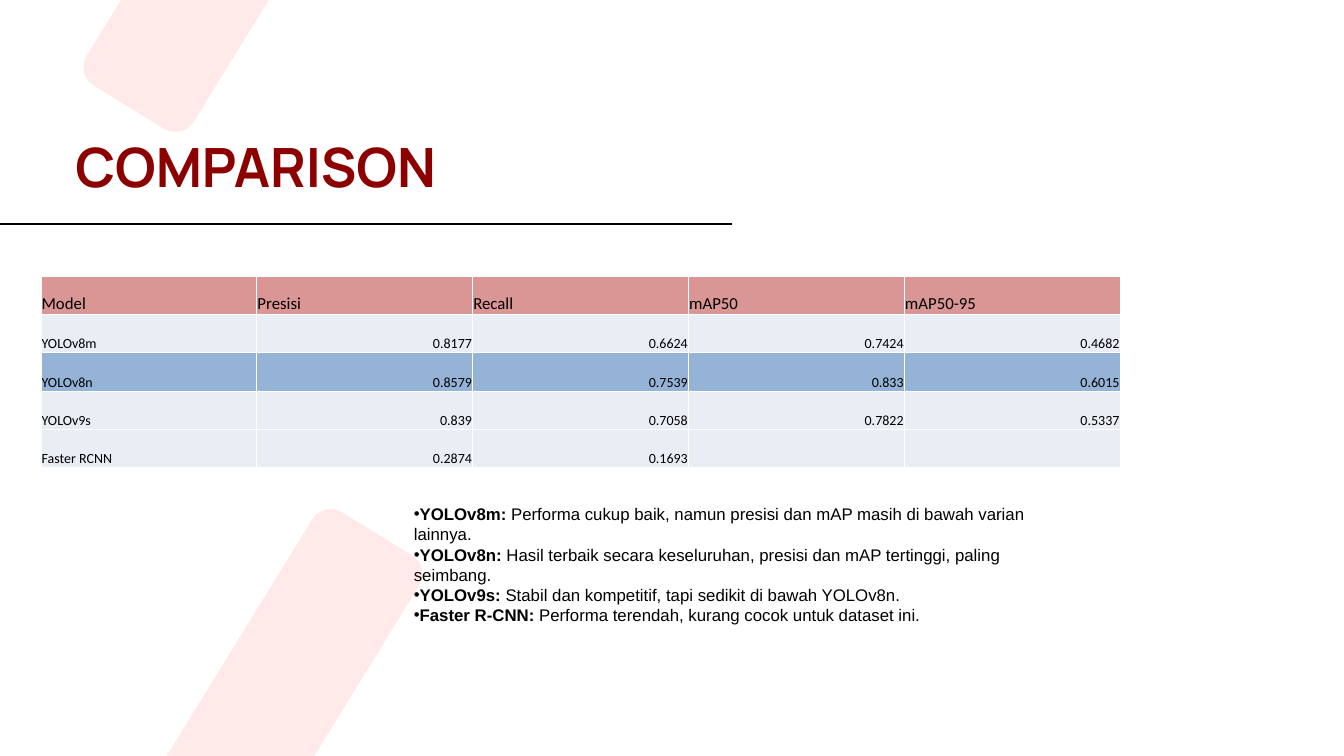
from lxml import etree
from pptx import Presentation
from pptx.dml.color import RGBColor
from pptx.enum import shapes, text
from pptx.oxml.ns import qn
from pptx.util import Inches, Pt

COLORS = {
    "title": "8D0000",
    "band": "FFE9E9",
    "ink": "000000",
    "header": "D99694",
    "row": "E9EDF4",
    "best": "95B3D7",
    "border": "FFFFFF",
}

TITLE = "COMPARISON"
HEADER = ["Model", "Presisi", "Recall", "mAP50", "mAP50-95"]
RESULTS = [
    ["YOLOv8m", "0.8177", "0.6624", "0.7424", "0.4682"],
    ["YOLOv8n", "0.8579", "0.7539", "0.833", "0.6015"],
    ["YOLOv9s", "0.839", "0.7058", "0.7822", "0.5337"],
    ["Faster RCNN", "0.2874", "0.1693", "", ""],
]
BEST_MODEL = "YOLOv8n"
REMARKS = [
    ("YOLOv8m:", " Performa cukup baik, namun presisi dan mAP masih di bawah varian lainnya."),
    ("YOLOv8n:", " Hasil terbaik secara keseluruhan, presisi dan mAP tertinggi, paling seimbang."),
    ("YOLOv9s:", " Stabil dan kompetitif, tapi sedikit di bawah YOLOv8n."),
    ("Faster R-CNN:", " Performa terendah, kurang cocok untuk dataset ini."),
]
BAND_CORNERS = [(1.39, 9.37), (0.6, -1.7)]


def rgb(name):
    return RGBColor.from_string(COLORS[name])


def style(font, name, size, color, bold=False):
    font.name, font.size, font.bold = name, Pt(size), bold
    font.color.rgb = rgb(color)


def add_textbox(slide, left, top, width, height):
    tf = slide.shapes.add_textbox(*map(Inches, (left, top, width, height))).text_frame
    tf.word_wrap = True
    return tf


def add_band(slide, left, top):
    sp = slide.shapes.add_shape(shapes.MSO_SHAPE.ROUNDED_RECTANGLE,
                                Inches(left), Inches(top), Inches(5.54), Inches(1.87))
    sp.adjustments[0] = 0.17
    sp.rotation = 301.6
    sp.shadow.inherit = False
    sp.fill.solid()
    sp.fill.fore_color.rgb = rgb("band")
    sp.line.fill.background()


def add_title(slide):
    tf = add_textbox(slide, 1.12, 2.14, 9.91, 0.91)
    tf.margin_left = tf.margin_top = tf.margin_right = tf.margin_bottom = 0
    p = tf.paragraphs[0]
    p.text = TITLE
    p.line_spacing = Pt(58)
    style(p.runs[0].font, "Manrope", 58, "title", bold=True)


def add_rule(slide):
    line = slide.shapes.add_connector(shapes.MSO_CONNECTOR.STRAIGHT, Inches(-0.69),
                                      Inches(3.34), Inches(10.9), Inches(3.34))
    line.line.color.rgb = rgb("ink")
    line.line.width = Pt(2.25)
    etree.SubElement(line._element.spPr, qn("a:effectLst"))


def set_borders(cell):
    tcPr = cell._tc.get_or_add_tcPr()
    for i, side in enumerate(("lnL", "lnR", "lnT", "lnB")):
        ln = etree.Element(qn(f"a:{side}"), w=str(Pt(1)))
        fill = etree.SubElement(ln, qn("a:solidFill"))
        etree.SubElement(fill, qn("a:srgbClr"), val=COLORS["border"])
        tcPr.insert(i, ln)


def add_results_table(slide):
    rows = [HEADER] + RESULTS
    table = slide.shapes.add_table(len(rows), len(HEADER), Inches(0.61), Inches(4.11),
                                   Inches(16.06), Inches(2.85)).table
    table.first_row = table.horz_banding = False
    for r, values in enumerate(rows):
        is_header = r == 0
        fill = "header" if is_header else "best" if values[0] == BEST_MODEL else "row"
        for c, value in enumerate(values):
            cell = table.cell(r, c)
            cell.fill.solid()
            cell.fill.fore_color.rgb = rgb(fill)
            set_borders(cell)
            cell.margin_left = cell.margin_top = cell.margin_right = Inches(0.01)
            cell.margin_bottom = 0
            cell.vertical_anchor = text.MSO_ANCHOR.BOTTOM
            if not value:
                continue
            cell.text = value
            p = cell.text_frame.paragraphs[0]
            if c and not is_header:
                p.alignment = text.PP_ALIGN.RIGHT
            style(p.runs[0].font, "Calibri", 18 if is_header else 15, "ink")


def add_remarks(slide):
    tf = add_textbox(slide, 6.06, 7.44, 9.6, 1.92)
    tf.vertical_anchor = text.MSO_ANCHOR.MIDDLE
    for i, (model, remark) in enumerate(REMARKS):
        p = tf.add_paragraph() if i else tf.paragraphs[0]
        pPr = p._p.get_or_add_pPr()
        etree.SubElement(pPr, qn("a:buFont"), typeface="Arial")
        etree.SubElement(pPr, qn("a:buChar"), char="•")
        for words, bold in ((model, True), (remark, False)):
            run = p.add_run()
            run.text = words
            style(run.font, "Arial", 18, "ink", bold)


def main():
    prs = Presentation()
    prs.slide_width, prs.slide_height = Inches(20), Inches(11.25)
    slide = prs.slides.add_slide(prs.slide_layouts[6])
    add_title(slide)
    for left, top in BAND_CORNERS:
        add_band(slide, left, top)
    add_rule(slide)
    add_results_table(slide)
    add_remarks(slide)
    prs.save("out.pptx")


if __name__ == "__main__":
    main()
